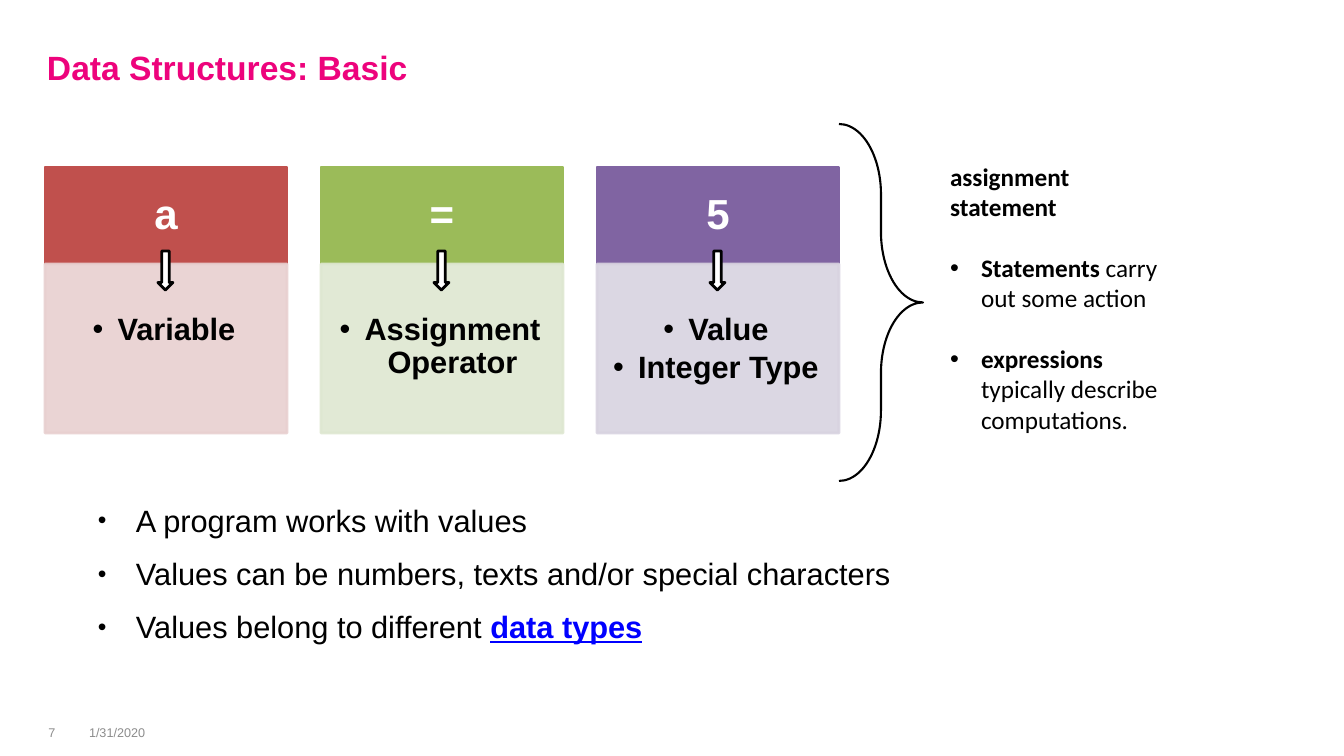
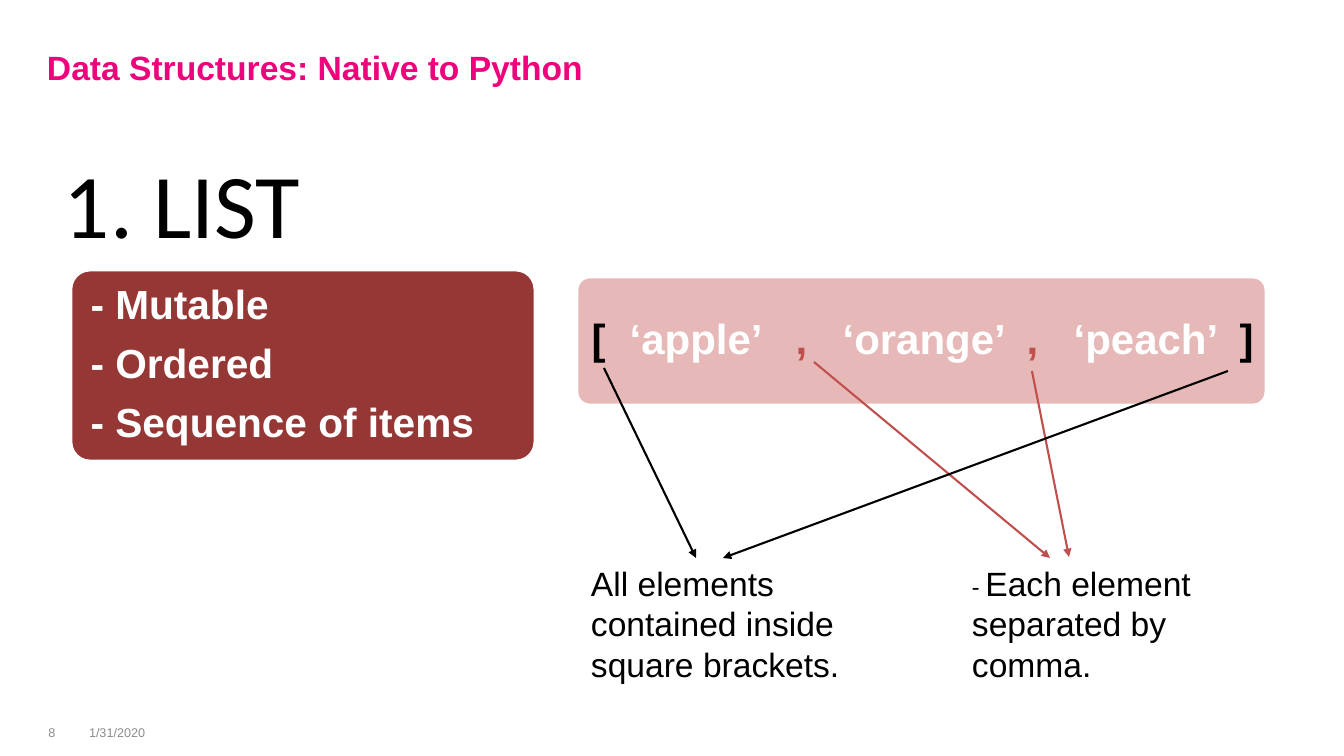
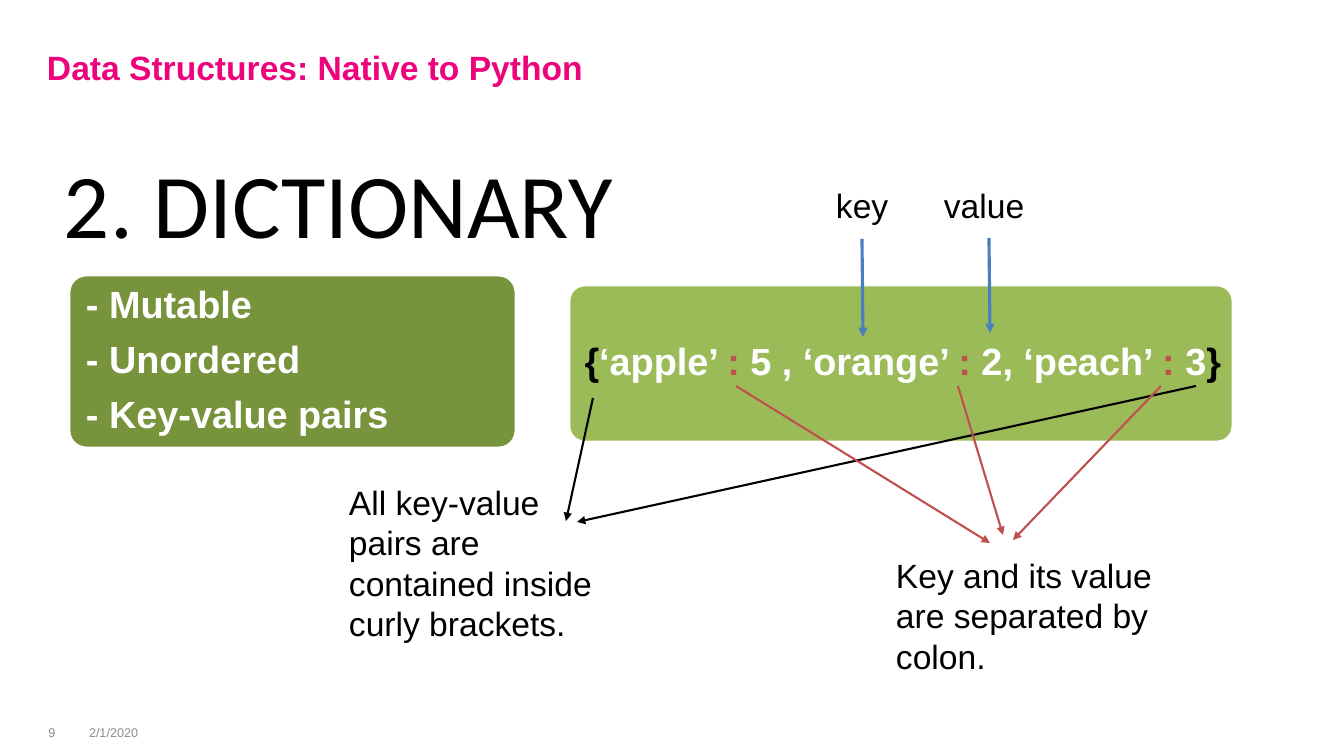
from dataclasses import dataclass
from typing import Optional, Sequence

from lxml.etree import SubElement
from pptx import Presentation
from pptx.dml.color import RGBColor
from pptx.enum.shapes import MSO_CONNECTOR as Connector, MSO_SHAPE as Preset
from pptx.enum.text import MSO_ANCHOR as Anchor, MSO_AUTO_SIZE as AutoSize, PP_ALIGN as Align
from pptx.oxml.ns import qn
from pptx.util import Emu, Pt

# Shared measures and colours
EMU_PER_PIXEL = 914400 / 100.8
SLIDE_WIDTH, SLIDE_HEIGHT = 1344, 756
LAYOUT_TITLE_AND_BODY, LAYOUT_TITLE_ONLY = 1, 5
SANS, HUMANIST = "Arial", "Calibri"
BLACK, WHITE, GRAY = "000000", "FFFFFF", "8C8C8C"
MAGENTA, LINK_BLUE, ARROW_BLUE = "ED037C", "0000FF", "4B7EBC"
RED, DARK_RED, PALE_RED = "C0504D", "953735", "E6B9B8"
GREEN, DARK_GREEN, PURPLE = "9BBB59", "77933C", "8064A2"


@dataclass(frozen=True)
class Box:
    left: int
    top: int
    width: int
    height: int


@dataclass(frozen=True)
class Run:
    text: str
    size: float = 24
    color: str = BLACK
    bold: bool = False
    font: str = SANS
    underline: bool = False


@dataclass(frozen=True)
class Par:
    runs: Sequence[Run]
    align: Align = Align.LEFT
    line_spacing: float = 1.0
    space_after: float = 0
    bullet_indent: int = 0
    margin: int = 0
    bullet_percent: int = 100
    tabs: Sequence[int] = ()


@dataclass(frozen=True)
class Arrow:
    start: tuple[int, int]
    end: tuple[int, int]
    color: str = BLACK
    width: float = 1.5


@dataclass(frozen=True)
class Card:
    symbol: str
    meanings: Sequence[str]
    color: str
    tint: str


@dataclass(frozen=True)
class Panel:
    box: Box
    color: str
    paragraphs: Sequence[Par]
    inset: int


@dataclass(frozen=True)
class Note:
    box: Box
    runs: Sequence[Run]


@dataclass(frozen=True)
class TypeSlide:
    number: int
    date: str
    heading: str
    panels: Sequence[Panel]
    notes: Sequence[Note]
    arrows: Sequence[Arrow]


# Helpers
def px(length: float) -> Emu:
    return Emu(round(length * EMU_PER_PIXEL))


def rgb(value: str) -> RGBColor:
    return RGBColor.from_string(value)


def place(box: Box) -> tuple[Emu, Emu, Emu, Emu]:
    return px(box.left), px(box.top), px(box.width), px(box.height)


def add_bullet(properties, percent: int) -> None:
    SubElement(properties, qn("a:buSzPct"), val=str(percent * 1000))
    SubElement(properties, qn("a:buFont"), typeface=SANS)
    SubElement(properties, qn("a:buChar"), char="•")


def add_tabs(properties, tabs: Sequence[int]) -> None:
    tab_list = SubElement(properties, qn("a:tabLst"))
    for tab in tabs:
        SubElement(tab_list, qn("a:tab"), pos=str(px(tab)), algn="l")


def write_text(shape, paragraphs: Sequence[Par], anchor: Anchor = Anchor.TOP,
               insets: tuple[int, int, int, int] = (10, 5, 10, 5)) -> None:
    frame = shape.text_frame
    frame.word_wrap = True
    frame.auto_size = AutoSize.NONE
    frame.vertical_anchor = anchor
    (frame.margin_left, frame.margin_top,
     frame.margin_right, frame.margin_bottom) = map(px, insets)
    for index, content in enumerate(paragraphs):
        paragraph = frame.add_paragraph() if index else frame.paragraphs[0]
        paragraph.alignment = content.align
        paragraph.line_spacing = content.line_spacing
        paragraph.space_before = Pt(0)
        paragraph.space_after = Pt(content.space_after)
        properties = paragraph._p.get_or_add_pPr()
        if content.bullet_indent:
            properties.set("marL", str(px(content.margin or content.bullet_indent)))
            properties.set("indent", str(-px(content.bullet_indent)))
            add_bullet(properties, content.bullet_percent)
        if content.tabs:
            add_tabs(properties, content.tabs)
        for item in content.runs:
            run = paragraph.add_run()
            run.text = item.text
            font = run.font
            font.name, font.size = item.font, Pt(item.size)
            font.bold, font.underline = item.bold, item.underline
            font.color.rgb = rgb(item.color)


def add_text(slide, box: Box, paragraphs: Sequence[Par], anchor: Anchor = Anchor.TOP,
             insets: tuple[int, int, int, int] = (10, 5, 10, 5)) -> None:
    write_text(slide.shapes.add_textbox(*place(box)), paragraphs, anchor, insets)


def add_preset(slide, preset: Preset, box: Box, fill: Optional[str], line: str,
               line_width: float = 2, opacity: int = 100):
    shape = slide.shapes.add_shape(preset, *place(box))
    shape.shadow.inherit = False
    if fill:
        shape.fill.solid()
        shape.fill.fore_color.rgb = rgb(fill)
    else:
        shape.fill.background()
    shape.line.color.rgb = rgb(line)
    shape.line.width = Pt(line_width)
    if opacity < 100:
        for color in shape.element.spPr.iter(qn("a:srgbClr")):
            SubElement(color, qn("a:alpha"), val=str(opacity * 1000))
    return shape


def add_arrow(slide, arrow: Arrow) -> None:
    connector = slide.shapes.add_connector(
        Connector.STRAIGHT, *map(px, arrow.start + arrow.end))
    connector.line.color.rgb = rgb(arrow.color)
    connector.line.width = Pt(arrow.width)
    SubElement(connector.line._get_or_add_ln(), qn("a:tailEnd"), type="triangle")
    SubElement(connector.element.spPr, qn("a:effectLst"))


def start_slide(presentation, layout: int, title: str, number: int, date: str):
    slide = presentation.slides.add_slide(presentation.slide_layouts[layout])
    heading = slide.shapes.title
    heading.left, heading.top, heading.width, heading.height = place(Box(37, 30, 1058, 62))
    write_text(heading, [Par([Run(title, color=MAGENTA, bold=True)])], Anchor.BOTTOM)
    add_text(slide, Box(79, 720, 101, 24), [Par([Run(date, 9, GRAY)])], Anchor.MIDDLE)
    add_text(slide, Box(26, 720, 52, 24),
             [Par([Run(str(number), 9, GRAY)], Align.CENTER)], Anchor.MIDDLE)
    return slide


# Basic data structures: an assignment taken apart
CARDS = [
    Card("a", ["Variable"], RED, "E8D0D0"),
    Card("=", ["Assignment Operator"], GREEN, "DEE7D1"),
    Card("5", ["Value", "Integer Type"], PURPLE, "D8D3E0"),
]
CARD_LEFT, CARD_STEP, CARD_WIDTH = 45, 276, 242
HEAD_TOP, HEAD_HEIGHT, MEANING_HEIGHT = 167, 97, 169
ARROW_WIDTH, ARROW_HEIGHT = 15, 39


def add_card(slide, card: Card, left: int) -> None:
    head = add_preset(slide, Preset.RECTANGLE, Box(left, HEAD_TOP, CARD_WIDTH, HEAD_HEIGHT),
                      card.color, card.color)
    write_text(head, [Par([Run(card.symbol, 30, WHITE, True)], Align.CENTER, 0.9)],
               Anchor.MIDDLE)
    meaning_top = HEAD_TOP + HEAD_HEIGHT
    meaning = add_preset(slide, Preset.RECTANGLE,
                         Box(left, meaning_top, CARD_WIDTH, MEANING_HEIGHT),
                         card.tint, card.tint, opacity=90)
    write_text(meaning, [Par([Run(text, 22, bold=True)], Align.CENTER, 0.9, 3.5, 25)
                         for text in card.meanings], insets=(13, 50, 17, 19))
    add_preset(slide, Preset.DOWN_ARROW,
               Box(left + (CARD_WIDTH - ARROW_WIDTH) // 2, meaning_top - 13,
                   ARROW_WIDTH, ARROW_HEIGHT), WHITE, BLACK)


def note_run(text: str, bold: bool = False) -> Run:
    return Run(text, 18, bold=bold, font=HUMANIST)


def build_basic_slide(presentation) -> None:
    slide = start_slide(presentation, LAYOUT_TITLE_AND_BODY,
                        "Data Structures: Basic", 7, "1/31/2020")
    body = slide.placeholders[1]
    body.left, body.top, body.width, body.height = place(Box(37, 497, 1215, 203))
    facts = [
        [Run("A program works with values", 22)],
        [Run("Values can be numbers, texts and/or special characters", 22)],
        [Run("Values belong to different ", 22),
         Run("data types", 22, LINK_BLUE, True, underline=True)],
    ]
    write_text(body, [Par(runs, space_after=11.5, bullet_indent=38, margin=89,
                          bullet_percent=80) for runs in facts])
    for index, card in enumerate(CARDS):
        add_card(slide, card, CARD_LEFT + index * CARD_STEP)
    brace = add_preset(slide, Preset.RIGHT_BRACE, Box(839, 124, 84, 357), None, BLACK, 1.5)
    brace.adjustments[0], brace.adjustments[1] = 0.84, 0.5
    add_text(slide, Box(940, 156, 238, 285), [
        Par([note_run("assignment statement", True)], space_after=22),
        Par([note_run("Statements ", True), note_run("carry out some action")],
            space_after=22, bullet_indent=31),
        Par([note_run("expressions ", True), note_run("typically describe computations.")],
            bullet_indent=31),
    ])


# Native types: features on the left, an annotated literal on the right
def feature_panel(box: Box, color: str, size: int, inset: int,
                  features: Sequence[str]) -> Panel:
    return Panel(box, color, [Par([Run("- " + feature, size, WHITE, True)],
                                  line_spacing=0.9, space_after=size * 0.38)
                              for feature in features], inset)


def literal_panel(box: Box, color: str, size: int, inset: int,
                  tokens: Sequence[tuple[str, str]], tabs: Sequence[int] = ()) -> Panel:
    runs = [Run(text, size, token_color, True) for text, token_color in tokens]
    return Panel(box, color, [Par(runs, line_spacing=0.9, tabs=tabs)], inset)


TYPE_SLIDES = [
    TypeSlide(
        8, "1/31/2020", "1. LIST",
        panels=[
            literal_panel(Box(577, 277, 689, 128), PALE_RED, 30, 11, [
                ("[", BLACK), ("\t‘apple’", WHITE), ("\t,", RED), ("\t‘orange’", WHITE),
                ("\t,", RED), ("\t‘peach’", WHITE), ("\t]", BLACK),
            ], tabs=(38, 204, 251, 435, 482, 648)),
            feature_panel(Box(71, 270, 464, 191), DARK_RED, 29, 14,
                          ["Mutable", "Ordered", "Sequence of items"]),
        ],
        notes=[
            Note(Box(581, 558, 285, 132),
                 [Run("All elements contained inside square brackets.")]),
            Note(Box(962, 558, 266, 132),
                 [note_run("- "), Run("Each element separated by comma.")]),
        ],
        arrows=[
            Arrow((604, 368), (696, 558)),
            Arrow((814, 362), (1050, 558), RED),
            Arrow((1032, 371), (1069, 557), RED),
            Arrow((1228, 371), (723, 558)),
        ],
    ),
    TypeSlide(
        9, "2/1/2020", "2. DICTIONARY",
        panels=[
            feature_panel(Box(69, 275, 447, 173), DARK_GREEN, 27, 12,
                          ["Mutable", "Unordered", "Key-value pairs"]),
            literal_panel(Box(569, 285, 664, 157), GREEN, 27, 11, [
                ("{", BLACK), ("‘apple’ ", WHITE), (":", RED), (" 5 , ‘orange’ ", WHITE),
                (":", RED), (" 2, ‘peach’ ", WHITE), (":", RED), (" 3", WHITE), ("}", BLACK),
            ]),
        ],
        notes=[
            Note(Box(339, 477, 285, 173),
                 [Run("All key-value pairs are contained inside curly brackets.")]),
            Note(Box(886, 550, 285, 132), [Run("Key and its value are separated by colon.")]),
            Note(Box(826, 180, 90, 50), [Run("key")]),
            Note(Box(934, 180, 120, 50), [Run("value")]),
        ],
        arrows=[
            Arrow((593, 398), (566, 521)),
            Arrow((1196, 386), (577, 522)),
            Arrow((736, 386), (990, 543), RED),
            Arrow((958, 386), (1003, 535), RED),
            Arrow((1161, 386), (1013, 540), RED),
            Arrow((862, 239), (863, 337), ARROW_BLUE, 2.25),
            Arrow((989, 238), (990, 333), ARROW_BLUE, 2.25),
        ],
    ),
]


def build_type_slide(presentation, content: TypeSlide) -> None:
    slide = start_slide(presentation, LAYOUT_TITLE_ONLY,
                        "Data Structures: Native to Python", content.number, content.date)
    add_text(slide, Box(37, 128, 1254, 163),
             [Par([Run(content.heading, 65, font=HUMANIST)], line_spacing=0.9)],
             Anchor.MIDDLE, (27, 27, 27, 27))
    for panel in content.panels:
        shape = add_preset(slide, Preset.ROUNDED_RECTANGLE, panel.box, panel.color, WHITE)
        shape.adjustments[0] = 0.1
        write_text(shape, panel.paragraphs, Anchor.MIDDLE, (panel.inset, 6, 2, 6))
    for note in content.notes:
        add_text(slide, note.box, [Par(note.runs)])
    for arrow in content.arrows:
        add_arrow(slide, arrow)


# Presentation
presentation = Presentation()
presentation.slide_width, presentation.slide_height = px(SLIDE_WIDTH), px(SLIDE_HEIGHT)
build_basic_slide(presentation)
for type_slide in TYPE_SLIDES:
    build_type_slide(presentation, type_slide)
presentation.save("out.pptx")
